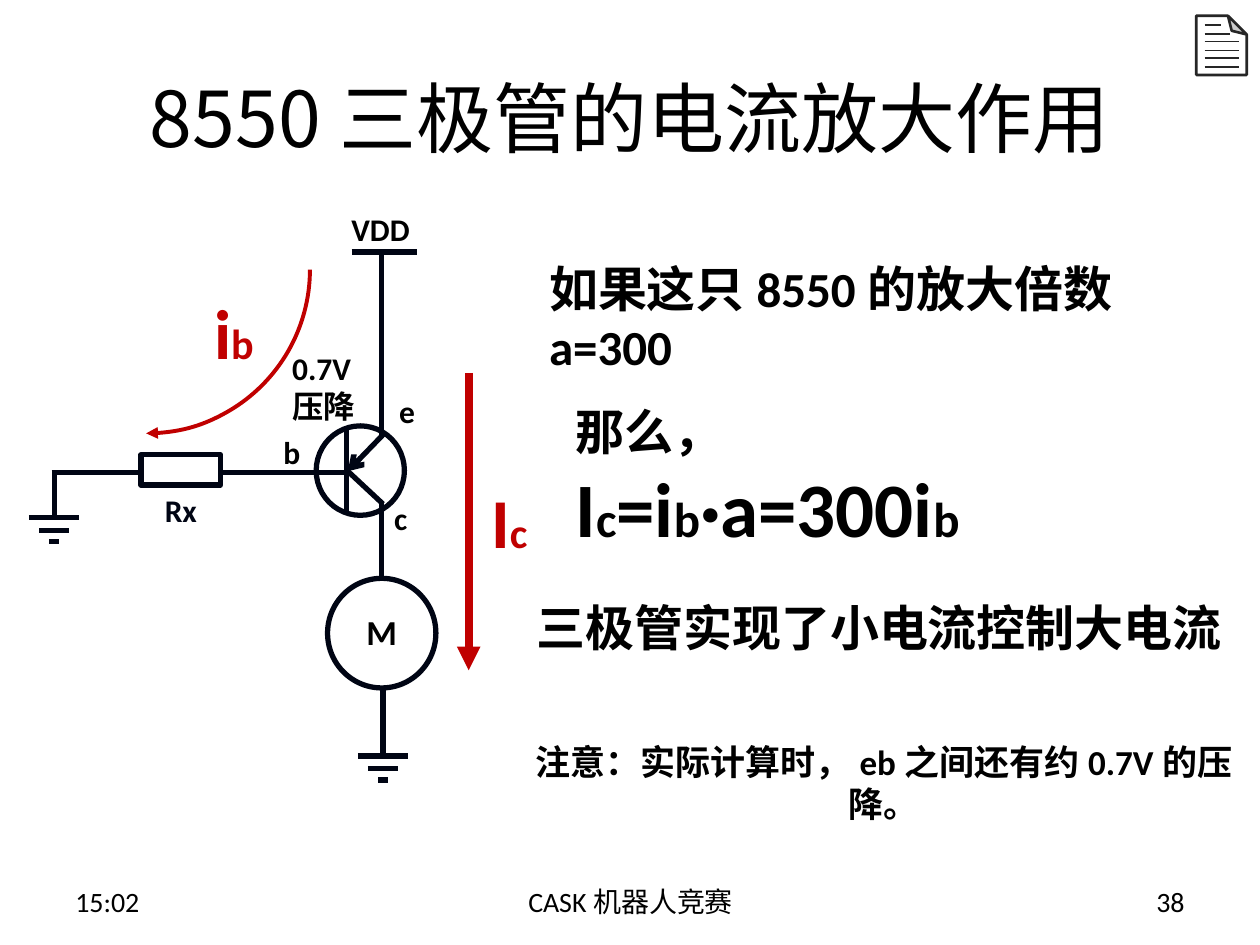
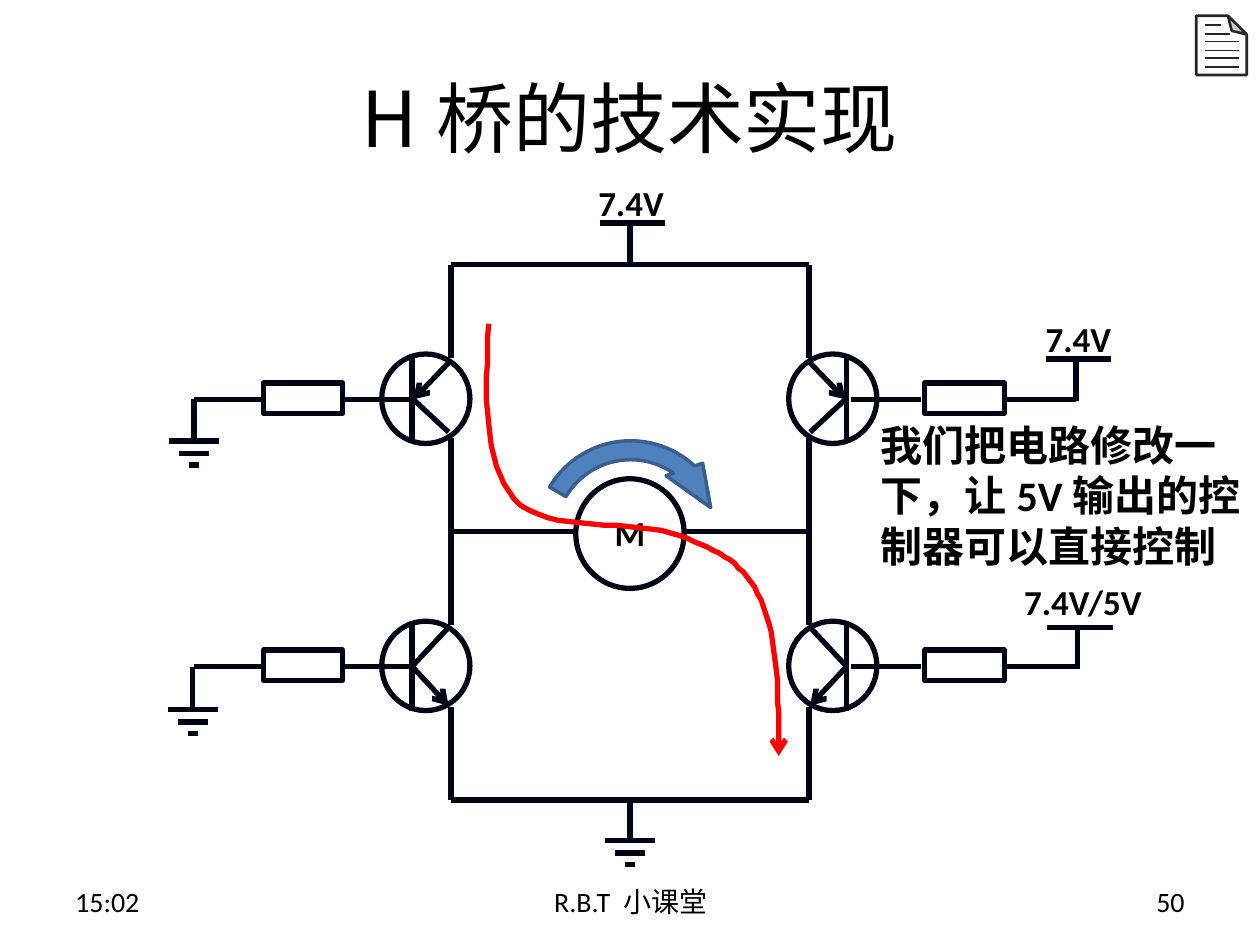
from dataclasses import dataclass
from itertools import pairwise

from lxml import etree
from pptx import Presentation, util as u
from pptx.dml.color import RGBColor
from pptx.enum import shapes, text
from pptx.oxml.ns import qn

PX = 9144  # EMU in one px, 100 px to the inch
INK = {"wire": "000514", "text": "000000", "flow": "C00000", "path": "FF0000",
       "page": "262626", "paper": "FFFFFF", "turn": "4F81BD", "edge": "3A5F8C"}
LATIN, HAN = "Calibri", "Noto Sans CJK SC"
FORM, ALIGN, ANCHOR = shapes.MSO_SHAPE, text.PP_ALIGN, text.MSO_ANCHOR
Box = tuple[int, int, int, int]
Point = tuple[int, int]


@dataclass(frozen=True)
class Stage:
    """A transistor; side is 1 with the base on the left, -1 on the right."""
    x: int
    y: int
    pnp: bool = True
    side: int = 1


@dataclass(frozen=True)
class Rail:
    """A supply bar with its label and a stem down to end."""
    x: int
    y: int
    end: int
    label: str
    box: Box
    size: int = 20


@dataclass(frozen=True)
class Ground:
    x: int
    y: int
    top: int


def emu(*vals: int) -> list[int]:
    return [u.Emu(v * PX) for v in vals]


def rgb(name: str) -> RGBColor:
    return RGBColor.from_string(INK[name])


def stroke(item, ink: str, width: float, tip: str = "") -> None:
    item.line.color.rgb = rgb(ink)
    item.line.width = u.Pt(width)
    if tip:
        line = item.element.spPr.find(qn("a:ln"))
        etree.SubElement(line, qn("a:tailEnd"), type=tip)


def wire(slide, start: Point, end: Point, ink: str = "wire",
         width: float = 3, tip: str = "") -> None:
    line = slide.shapes.add_connector(
        shapes.MSO_CONNECTOR.STRAIGHT, *emu(*start, *end))
    stroke(line, ink, width, tip)
    etree.SubElement(line.element.spPr, qn("a:effectLst"))


def adjust(item, vals: dict[str, int]) -> None:
    """Set the named guides of a preset shape."""
    geom = item.element.spPr.find(qn("a:prstGeom"))
    for old in geom.findall(qn("a:avLst")):
        geom.remove(old)
    guides = etree.SubElement(geom, qn("a:avLst"))
    for name, val in vals.items():
        etree.SubElement(guides, qn("a:gd"), name=name, fmla=f"val {val}")


def form(slide, kind, box: Box, ink: str = "wire", width: float = 3,
         fill: str = "", tip: str = "", turn: int = 0,
         adj: dict[str, int] | None = None) -> None:
    item = slide.shapes.add_shape(kind, *emu(*box))
    item.shadow.inherit = False
    item.rotation = turn
    if adj:
        adjust(item, adj)
    if fill:
        item.fill.solid()
        item.fill.fore_color.rgb = rgb(fill)
    else:
        item.fill.background()
    stroke(item, ink, width, tip)


def write(slide, box: Box, words: str, *, size: int = 18, sub: int = 24,
          bold: bool = True, ink: str = "text", font: str = LATIN,
          align=ALIGN.LEFT, anchor=ANCHOR.TOP, wrap: bool = False,
          grow: bool = True) -> None:
    """Lines become paragraphs; every second piece between bars has size sub."""
    frame = slide.shapes.add_textbox(*emu(*box)).text_frame
    frame.word_wrap = wrap
    frame.vertical_anchor = anchor
    if grow:
        frame.auto_size = text.MSO_AUTO_SIZE.SHAPE_TO_FIT_TEXT
    for i, row in enumerate(words.split("\n")):
        para = frame.add_paragraph() if i else frame.paragraphs[0]
        para.alignment = align
        for j, piece in enumerate(row.split("|")):
            if not piece:
                continue
            run = para.add_run()
            run.text = piece
            face = run.font
            face.size = u.Pt(sub if j % 2 else size)
            face.bold = bold
            face.color.rgb = rgb(ink)
            face.name = font
            etree.SubElement(face._element, qn("a:ea"), typeface=HAN)


def sheet(slide) -> None:
    """Draw the page icon in the top right corner."""
    form(slide, FORM.FOLDED_CORNER, (946, 16, 47, 40), "page", 1.5, "paper",
         turn=270, adj={"adj": 37200})
    for i, end in enumerate((969, 976, 983, 983, 983, 983)):
        y = 20 + round(i * 6.6)
        wire(slide, (956, y), (end, y), "page", 1)


def start(deck, title: str, club: str, page: str):
    slide = deck.slides.add_slide(deck.slide_layouts[6])
    plain = dict(bold=False, anchor=ANCHOR.MIDDLE, wrap=True, grow=False)
    write(slide, (50, 30, 900, 125), title, size=44, font=HAN,
          align=ALIGN.CENTER, **plain)
    foot = ((50, 233, "15:02", ALIGN.LEFT), (342, 317, club, ALIGN.CENTER),
            (717, 233, page, ALIGN.RIGHT))
    for x, wide, words, align in foot:
        write(slide, (x, 695, wide, 40), words, size=16, align=align, **plain)
    sheet(slide)
    return slide


def stage(slide, part: Stage) -> None:
    def at(dx: int, dy: int) -> Point:
        return part.x + (dx if part.side > 0 else 70 - dx), part.y + dy

    form(slide, FORM.OVAL, (part.x, part.y, 70, 71))
    wire(slide, at(24, 0), at(24, 71))
    if part.pnp:
        wire(slide, at(54, 6), at(25, 36), tip="arrow")
        wire(slide, at(53, 62), at(24, 35))
    else:
        wire(slide, at(25, 37), at(53, 67), tip="arrow")
        wire(slide, at(53, 5), at(24, 36))


def motor(slide, x: int, y: int) -> None:
    form(slide, FORM.OVAL, (x, y, 86, 87))
    write(slide, (x + 20, y + 21, 46, 44), "M", size=20, align=ALIGN.CENTER)


def load(slide, x: int, y: int) -> None:
    """Draw a resistor."""
    form(slide, FORM.RECTANGLE, (x, y, 63, 24))


def rail(slide, part: Rail) -> None:
    wire(slide, (part.x, part.y), (part.x, part.end))
    wire(slide, (part.x - 24, part.y), (part.x + 28, part.y))
    write(slide, part.box, part.label, size=part.size)


def ground(slide, part: Ground) -> None:
    wire(slide, (part.x, part.top), (part.x, part.y))
    for drop, half in ((0, 20), (10, 12), (19, 4)):
        y = part.y + drop
        wire(slide, (part.x - half, y), (part.x + half, y))


def curve(slide, knots: list[Point], steps: int = 16) -> None:
    """Draw joined cubic Bezier curves, three knots after the first for each."""
    dots = []
    for i in range(0, len(knots) - 1, 3):
        for k in range(1, steps + 1):
            t = k / steps
            parts = ((1 - t) ** 3, 3 * t * (1 - t) ** 2, 3 * t * t * (1 - t), t ** 3)
            dots.append(tuple(sum(w * p[n] for w, p in zip(parts, knots[i:i + 4]))
                              for n in (0, 1)))
    pen = slide.shapes.build_freeform(*knots[0], scale=PX)
    pen.add_line_segments(dots, close=False)
    item = pen.convert_to_shape()
    item.shadow.inherit = False
    item.fill.background()
    stroke(item, "path", 3, "arrow")


def gain(deck) -> None:
    """Build the slide on current gain."""
    slide = start(deck, "8550三极管的电流放大作用", "CASK机器人竞赛", "38")
    rail(slide, Rail(303, 200, 347, "VDD", (269, 162, 67, 40), 18))
    stage(slide, Stage(251, 338))
    load(slide, 112, 361)
    motor(slide, 260, 459)
    for a, b in (((303, 399), (303, 460)), ((176, 375), (278, 375)),
                 ((41, 375), (112, 375))):
        wire(slide, a, b)
    for part in (Ground(304, 600, 546), Ground(43, 411, 375)):
        ground(slide, part)

    for box, words in (((215, 339, 34, 40), "b"), ((307, 306, 33, 40), "e"),
                       ((303, 391, 31, 40), "c"),
                       ((222, 272, 71, 71), "0.7V\n压降")):
        write(slide, box, words)
    write(slide, (121, 385, 46, 40), "Rx", ink="wire")

    form(slide, FORM.ARC, (-14, 84, 260, 260), "flow", 2.25,
         tip="triangle", turn=90)
    wire(slide, (372, 296), (372, 532), "flow", 4.5, "triangle")
    write(slide, (160, 225, 52, 77), "i|b", size=40, ink="flow")
    write(slide, (380, 375, 49, 77), "I|c", size=40, ink="flow")

    write(slide, (426, 200, 530, 57), "如果这只8550的放大倍数a=300",
          size=28, wrap=True)
    write(slide, (447, 314, 400, 84), "|那么，|I|c|=i|b|·a=300i|b",
          size=44, sub=28, wrap=True)
    write(slide, (416, 469, 572, 57), "三极管实现了小电流控制大电流", size=28)
    write(slide, (406, 583, 591, 44), "注意：实际计算时，eb之间还有约0.7V的压降。",
          size=20, align=ALIGN.CENTER, wrap=True)


def bridge(deck) -> None:
    """Build the slide on the H bridge."""
    slide = start(deck, "H桥的技术实现", "R.B.T 小课堂", "50")
    left, right, top, mid, low = 358, 642, 210, 422, 635
    for y in (top, low):
        wire(slide, (left, y), (right, y))
    for x in (left, right):
        for a, b in pairwise((top, mid, low)):
            wire(slide, (x, a), (x, a + 74))
            wire(slide, (x, b - 74), (x, b))
    wire(slide, (left, mid), (457, mid))
    wire(slide, (543, mid), (right, mid))
    motor(slide, 457, 380)

    leads = {1: (303, 209, ((154, 210), (272, 328))),
             -1: (626, 734, ((675, 731), (798, 854)))}
    for y, pnp in ((281, True), (493, False)):
        for side, (x, body, spans) in leads.items():
            stage(slide, Stage(x, y, pnp, side))
            load(slide, body, y + 23)
            for a, b in spans:
                wire(slide, (a, y + 36), (b, y + 36))

    for part in (Rail(500, 177, top, "7.4V", (465, 139, 73, 44)),
                 Rail(854, 285, 318, "7.4V", (820, 247, 73, 44)),
                 Rail(855, 498, 531, "7.4V/5V", (803, 456, 116, 44))):
        rail(slide, part)
    for part in (Ground(500, 667, low), Ground(154, 350, 317),
                 Ground(153, 563, 529)):
        ground(slide, part)

    curve(slide, [(388, 257), (385, 312), (383, 368), (408, 396),
                  (434, 424), (506, 412), (539, 425),
                  (572, 438), (591, 447), (604, 476),
                  (617, 505), (618, 553), (618, 600)])
    form(slide, FORM.CIRCULAR_ARROW, (418, 342, 165, 165), "edge", 2, "turn",
         adj={"adj1": 9100, "adj2": 1908800, "adj3": 18564100,
              "adj4": 12633400, "adj5": 9300})
    write(slide, (689, 328, 311, 131),
          "我们把电路修改一下，让5V输出的控制器可以直接控制", size=24, wrap=True)


def main() -> None:
    deck = Presentation()
    deck.slide_width, deck.slide_height = emu(1000, 750)
    gain(deck)
    bridge(deck)
    deck.save("out.pptx")


if __name__ == "__main__":
    main()
